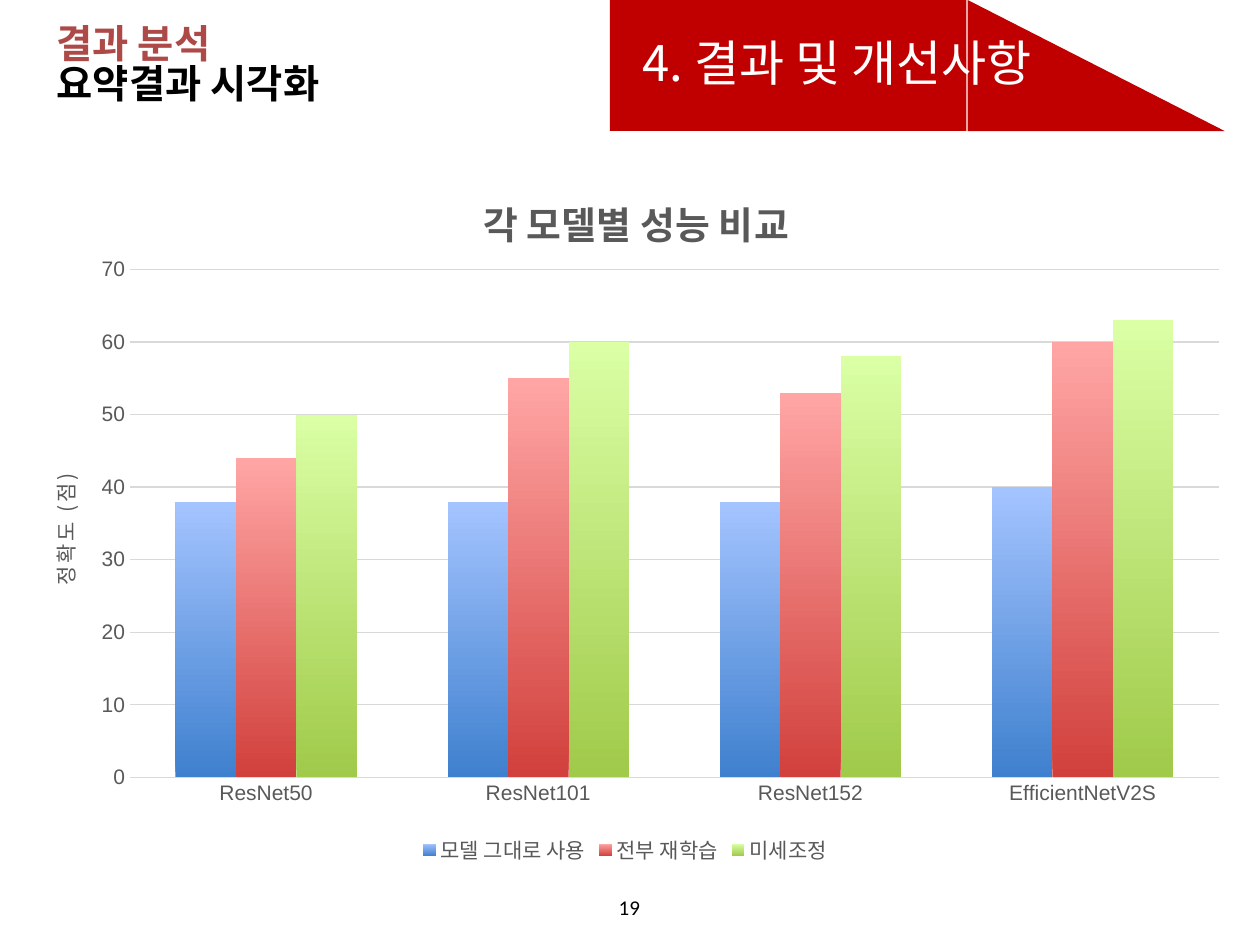
from dataclasses import dataclass

import pptx
import pptx.chart.data
import pptx.dml.color
import pptx.enum.chart
import pptx.enum.shapes
import pptx.enum.text
import pptx.util
from lxml import etree
from pptx.oxml.ns import qn
from pptx.util import Inches

KOREAN = "Noto Sans CJK KR"
COLORS = {
    "banner": "C00000",
    "topic": "AD4A48",
    "black": "000000",
    "white": "FFFFFF",
    "label": "595959",
    "grid": "D9D9D9",
}


@dataclass(frozen=True)
class Box:
    left: float
    top: float
    width: float
    height: float

    def lengths(self) -> tuple:
        return tuple(Inches(v) for v in (self.left, self.top, self.width, self.height))


@dataclass(frozen=True)
class Training:
    name: str
    scores: tuple
    bottom: str
    top: str


MODELS = ("ResNet50", "ResNet101", "ResNet152", "EfficientNetV2S")
TRAININGS = (
    Training("모델 그대로 사용", (38, 38, 38, 40), "3F80CE", "A4C4FF"),
    Training("전부 재학습", (44, 55, 53, 60), "D1403C", "FFA6A5"),
    Training("미세조정", (50, 60, 58, 63), "A0CA4A", "DAFFA5"),
)


def rgb(value: str) -> pptx.dml.color.RGBColor:
    return pptx.dml.color.RGBColor.from_string(value)


def write(paragraph, text: str, *, size: float, color: str, font: str = KOREAN,
          bold: bool = False, spacing: int = 0) -> None:
    run = paragraph.add_run()
    run.text = text
    run.font.size = pptx.util.Pt(size)
    run.font.bold = bold
    run.font.color.rgb = rgb(COLORS[color])
    run.font.name = font
    properties = run.font._element
    etree.SubElement(properties, qn("a:ea")).set("typeface", font)
    if spacing:
        properties.set("spc", str(spacing))


def add_text_box(slide, box: Box, *, middle: bool = False):
    frame = slide.shapes.add_textbox(*box.lengths()).text_frame
    frame.word_wrap = True
    if middle:
        frame.vertical_anchor = pptx.enum.text.MSO_ANCHOR.MIDDLE
    return frame.paragraphs[0]


def add_banner_part(slide, preset, box: Box) -> None:
    part = slide.shapes.add_shape(preset, *box.lengths())
    part.shadow.inherit = False
    part.fill.solid()
    part.fill.fore_color.rgb = rgb(COLORS["banner"])
    part.line.fill.background()


def set_layout(parent, **fractions: float) -> None:
    layout = parent.find(qn("c:layout"))
    if layout is None:
        layout = etree.Element(qn("c:layout"))
        text = parent.find(qn("c:tx"))
        parent.insert(0 if text is None else 1, layout)
    for child in list(layout):
        layout.remove(child)
    manual = etree.SubElement(layout, qn("c:manualLayout"))
    if "w" in fractions:
        etree.SubElement(manual, qn("c:layoutTarget")).set("val", "inner")
    for axis in ("x", "y"):
        etree.SubElement(manual, qn(f"c:{axis}Mode")).set("val", "edge")
    for key, value in fractions.items():
        etree.SubElement(manual, qn(f"c:{key}")).set("val", str(value))


def style_axis(axis) -> None:
    axis.major_tick_mark = pptx.enum.chart.XL_TICK_MARK.NONE
    axis.minor_tick_mark = pptx.enum.chart.XL_TICK_MARK.NONE
    style_font(axis.tick_labels.font, 12, "label")


def style_font(font, size: float, color: str) -> None:
    font.size = pptx.util.Pt(size)
    font.name = "Arial"
    font.color.rgb = rgb(COLORS[color])


def add_score_chart(slide, box: Box) -> None:
    data = pptx.chart.data.CategoryChartData()
    data.categories = MODELS
    for training in TRAININGS:
        data.add_series(training.name, training.scores)
    chart = slide.shapes.add_chart(
        pptx.enum.chart.XL_CHART_TYPE.COLUMN_CLUSTERED, *box.lengths(), data
    ).chart
    style_font(chart.font, 10, "black")

    chart.has_title = True
    write(chart.chart_title.text_frame.paragraphs[0], "각 모델별 성능 비교",
          size=21.6, color="label", bold=True)
    set_layout(chart.chart_title._element, x=0.38, y=0.04)

    models = chart.category_axis
    style_axis(models)
    models.format.line.color.rgb = rgb(COLORS["grid"])
    models.format.line.width = pptx.util.Pt(1)

    accuracy = chart.value_axis
    style_axis(accuracy)
    accuracy.minimum_scale, accuracy.maximum_scale, accuracy.major_unit = 0, 70, 10
    accuracy.format.line.fill.background()
    accuracy.major_gridlines.format.line.color.rgb = rgb(COLORS["grid"])
    accuracy.major_gridlines.format.line.width = pptx.util.Pt(0.75)
    accuracy.has_title = True
    accuracy_title = accuracy.axis_title
    write(accuracy_title.text_frame.paragraphs[0], "정확도 (점)",
          size=12, color="label", spacing=150)
    accuracy_title.text_frame._txBody.bodyPr.set("rot", "-5400000")
    accuracy_title.text_frame._txBody.bodyPr.set("vert", "horz")
    set_layout(accuracy_title._element, x=0.03, y=0.44)

    chart.has_legend = True
    chart.legend.position = pptx.enum.chart.XL_LEGEND_POSITION.BOTTOM
    chart.legend.include_in_layout = False
    style_font(chart.legend.font, 12, "label")

    columns = chart.plots[0]
    columns.gap_width = 150
    columns.overlap = 0
    columns.vary_by_categories = False
    for series, training in zip(columns.series, TRAININGS):
        series.invert_if_negative = False
        fill = series.format.fill
        fill.gradient()
        fill.gradient_angle = 90
        for stop, color in zip(fill.gradient_stops, (training.bottom, training.top)):
            stop.color.rgb = rgb(color)
    set_layout(chart._chartSpace.chart.plotArea, x=0.1, y=0.16, w=0.88, h=0.71)


def main() -> None:
    deck = pptx.Presentation()
    deck.slide_width, deck.slide_height = Inches(10), Inches(7.5)
    slide = deck.slides.add_slide(deck.slide_layouts[6])

    presets = pptx.enum.shapes.MSO_SHAPE
    add_banner_part(slide, presets.RECTANGLE, Box(4.84, 0, 2.83, 1.04))
    add_banner_part(slide, presets.RIGHT_TRIANGLE, Box(7.68, 0, 2.04, 1.04))

    heading = add_text_box(slide, Box(0.35, 0.09, 4.02, 0.87), middle=True)
    heading.line_spacing = 0.85
    write(heading, "결과 분석", size=22.5, color="topic", bold=True)
    heading.add_line_break()
    write(heading, "요약결과 시각화", size=22.5, color="black", bold=True)

    page_number = add_text_box(slide, Box(4.78, 7.05, 0.43, 0.3), middle=True)
    page_number.alignment = pptx.enum.text.PP_ALIGN.CENTER
    write(page_number, "19", size=12, color="black", font="Calibri")

    section = add_text_box(slide, Box(5, 0.21, 3.46, 0.57))
    write(section, "4. 결과 및 개선사항", size=28, color="white")

    add_score_chart(slide, Box(0.05, 1.23, 9.82, 5.68))
    deck.save("out.pptx")


if __name__ == "__main__":
    main()
